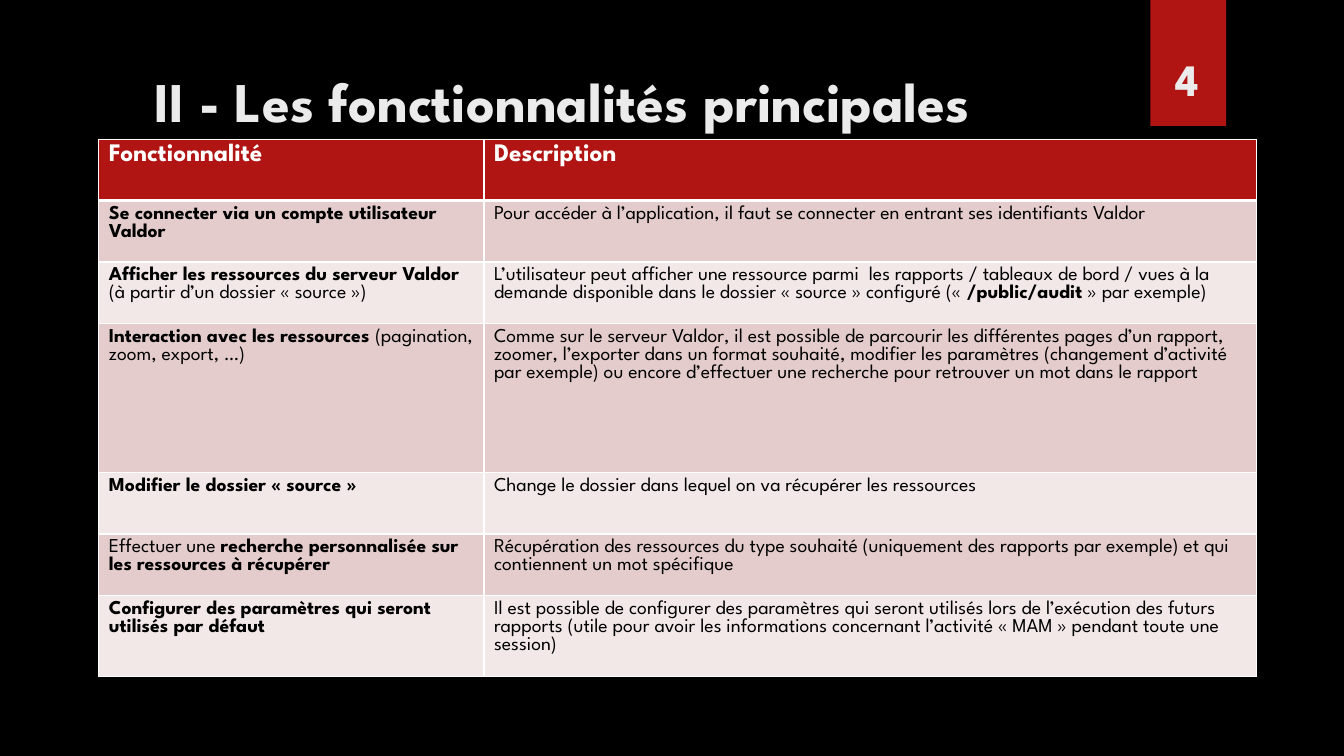
"""Builds the slide on the main features of the application."""
from dataclasses import dataclass

from lxml.etree import SubElement
from pptx import Presentation
from pptx.dml.color import RGBColor
from pptx.enum.shapes import MSO_SHAPE
from pptx.enum.text import MSO_ANCHOR
from pptx.oxml.ns import qn
from pptx.util import Inches, Pt


@dataclass(frozen=True)
class Theme:
    font: str = "League Spartan"
    background: str = "000000"
    accent: str = "B01513"
    heading: str = "EBEBEB"
    header_text: str = "FFFFFF"
    body_text: str = "000000"
    border: str = "FFFFFF"
    bands: tuple = ("E4CCCC", "F2E8E7")
    title_size: int = 40
    number_size: int = 32
    header_size: int = 18
    body_size: int = 14
    thin: int = 1
    thick: int = 3


HEADERS = ("Fonctionnalité", "Description")
FEATURES = (
    ("**Se connecter via un compte utilisateur Valdor**",
     "Pour accéder à l’application, il faut se connecter en entrant ses identifiants Valdor"),
    ("**Afficher les ressources du serveur Valdor **(à partir d’un dossier « source »)",
     "L’utilisateur peut afficher une ressource parmi  les rapports / tableaux de bord / vues "
     "à la demande disponible dans le dossier « source » configuré "
     "(« **/public/audit** » par exemple)"),
    ("**Interaction avec les ressources **(pagination, zoom, export, …)",
     "Comme sur le serveur Valdor, il est possible de parcourir les différentes pages d’un "
     "rapport, zoomer, l’exporter dans un format souhaité, modifier les paramètres "
     "(changement d’activité par exemple) ou encore d’effectuer une recherche pour "
     "retrouver un mot dans le rapport"),
    ("**Modifier le dossier « source »**",
     "Change le dossier dans lequel on va récupérer les ressources"),
    ("Effectuer une **recherche personnalisée sur les ressources à récupérer**",
     "Récupération des ressources du type souhaité (uniquement des rapports par exemple) "
     "et qui contiennent un mot spécifique"),
    ("**Configurer des paramètres qui seront utilisés par défaut**",
     "Il est possible de configurer des paramètres qui seront utilisés lors de l’exécution "
     "des futurs rapports (utile pour avoir les informations concernant l’activité "
     "« MAM » pendant toute une session)"),
)
COLUMN_WIDTHS = (28.66, 57.46)
ROW_HEIGHT = 8.13
TALL_ROW_HEIGHT = 19.73
TALL_ROW = 3


def write(frame, text, *, font, size, color):
    para = frame.paragraphs[0]
    for index, part in enumerate(text.split("**")):
        if part:
            span = para.add_run()
            span.text = part
            span.font.name = font
            span.font.size = Pt(size)
            span.font.bold = index % 2 == 1
            span.font.color.rgb = RGBColor.from_string(color)


class SlideBuilder:
    def __init__(self, deck, theme):
        self.deck = deck
        self.theme = theme
        self.page = deck.slides.add_slide(deck.slide_layouts[6])
        self.paint(self.page.background.fill, theme.background)

    def paint(self, fill, color):
        fill.solid()
        fill.fore_color.rgb = RGBColor.from_string(color)

    def across(self, percent):
        return round(self.deck.slide_width * percent / 100)

    def down(self, percent):
        return round(self.deck.slide_height * percent / 100)

    def area(self, left, top, width, height):
        return self.across(left), self.down(top), self.across(width), self.down(height)

    def block(self, *area):
        box = self.page.shapes.add_shape(MSO_SHAPE.RECTANGLE, *self.area(*area))
        box.shadow.inherit = False
        self.paint(box.fill, self.theme.accent)
        box.line.fill.background()

    def heading(self, text, size, *area):
        box = self.page.shapes.add_textbox(*self.area(*area))
        frame = box.text_frame
        frame.word_wrap = True
        frame.vertical_anchor = MSO_ANCHOR.BOTTOM
        write(frame, f"**{text}**", font=self.theme.font, size=size, color=self.theme.heading)

    def cell(self, cell, text, row):
        theme = self.theme
        is_header = row == 0
        properties = cell._tc.get_or_add_tcPr()
        heavy = {0: "lnB", 1: "lnT"}.get(row)
        for side in ("lnL", "lnR", "lnT", "lnB"):
            width = theme.thick if side == heavy else theme.thin
            line = SubElement(properties, qn(f"a:{side}"), w=str(Pt(width)))
            SubElement(SubElement(line, qn("a:solidFill")), qn("a:srgbClr"), val=theme.border)
        self.paint(cell.fill, theme.accent if is_header else theme.bands[(row - 1) % 2])
        write(cell.text_frame, text, font=theme.font,
              size=theme.header_size if is_header else theme.body_size,
              color=theme.header_text if is_header else theme.body_text)

    def table(self, rows, left, top, widths, heights):
        area = self.area(left, top, sum(widths), sum(heights))
        table = self.page.shapes.add_table(len(rows), len(widths), *area).table
        for column, width in zip(table.columns, widths):
            column.width = self.across(width)
        for index, (texts, height) in enumerate(zip(rows, heights)):
            table.rows[index].height = self.down(height)
            for column, text in enumerate(texts):
                self.cell(table.cell(index, column), text, index)


def main():
    deck = Presentation()
    deck.slide_width, deck.slide_height = Inches(13.33), Inches(7.5)
    theme = Theme()
    slide = SlideBuilder(deck, theme)
    slide.block(85.6, 0, 5.63, 16.67)
    slide.heading("4", theme.number_size, 86.72, 5.2, 4.28, 9.47)
    slide.heading("II - Les fonctionnalités principales", theme.title_size, 10.73, 8, 72.39, 10.4)
    rows = [[f"**{header}**" for header in HEADERS], *FEATURES]
    heights = [TALL_ROW_HEIGHT if row == TALL_ROW else ROW_HEIGHT for row in range(len(rows))]
    slide.table(rows, 7.35, 18.4, COLUMN_WIDTHS, heights)
    deck.save("out.pptx")


if __name__ == "__main__":
    main()
